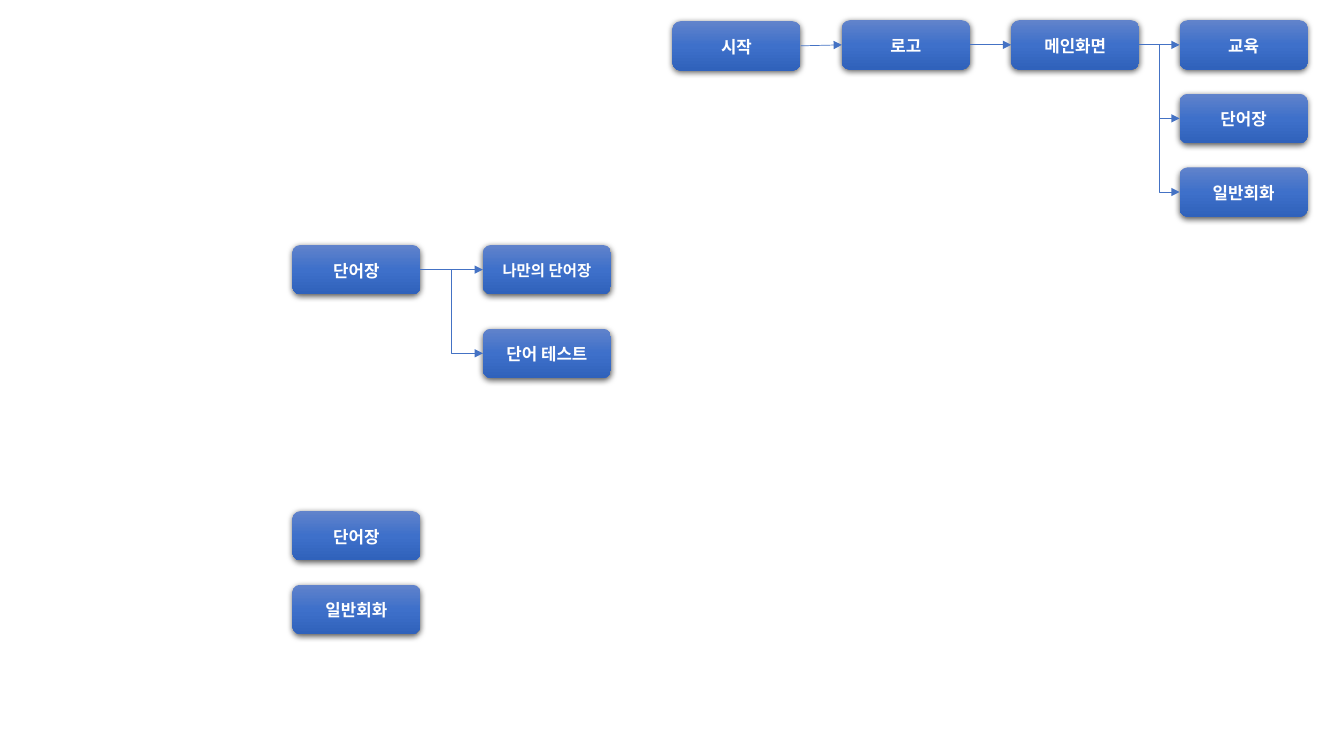
from copy import deepcopy

from lxml.etree import SubElement
from pptx import Presentation
from pptx.dml.color import RGBColor
from pptx.enum.shapes import MSO_CONNECTOR, MSO_SHAPE
from pptx.enum.text import MSO_ANCHOR, PP_ALIGN
from pptx.oxml.ns import qn
from pptx.util import Inches, Pt


def rgb(color):
    return RGBColor.from_string(color)


class FlowChart:
    FONT = "Noto Sans CJK KR"
    TEXT = "FFFFFF"
    LINE = "4472C4"
    SHADOW = "000000"
    GRADIENT = ((0, "6183CB"), (0.5, "3E70CA"), (1, "3062BB"))
    WIDTH, HEIGHT = 1.27, 0.49
    RIGHT, LEFT = 3, 1

    def __init__(self, slide):
        self.slide = slide

    def box(self, label, left, top, size=12):
        node = self.slide.shapes.add_shape(
            MSO_SHAPE.ROUNDED_RECTANGLE,
            Inches(left), Inches(top), Inches(self.WIDTH), Inches(self.HEIGHT))
        node.line.fill.background()
        self.shade(node)
        self.drop_shadow(node)
        self.caption(node.text_frame, label, size)
        return node

    def shade(self, node):
        node.fill.gradient()
        node.fill.gradient_angle = 270
        stop_list = node._element.spPr.find(qn("a:gradFill")).find(qn("a:gsLst"))
        stop_list.append(deepcopy(stop_list[0]))
        for stop, (position, color) in zip(node.fill.gradient_stops, self.GRADIENT):
            stop.position = position
            stop.color.rgb = rgb(color)

    def drop_shadow(self, node):
        node.shadow.inherit = False
        effects = node._element.spPr.find(qn("a:effectLst"))
        shadow = SubElement(effects, qn("a:outerShdw"), blurRad=str(Pt(4.5)),
                            dist=str(Pt(1.5)), dir="5400000", algn="ctr",
                            rotWithShape="0")
        shade = SubElement(shadow, qn("a:srgbClr"), val=str(rgb(self.SHADOW)))
        SubElement(shade, qn("a:alpha"), val="63000")

    def caption(self, frame, label, size):
        frame.word_wrap = True
        frame.vertical_anchor = MSO_ANCHOR.MIDDLE
        paragraph = frame.paragraphs[0]
        paragraph.text = label
        paragraph.alignment = PP_ALIGN.CENTER
        paragraph.line_spacing = 1.07
        paragraph.space_after = Pt(8)
        font = paragraph.font
        font.size = Pt(size)
        font.bold = True
        font.color.rgb = rgb(self.TEXT)
        font.name = self.FONT
        defaults = paragraph._p.pPr.find(qn("a:defRPr"))
        SubElement(defaults, qn("a:ea"), typeface=self.FONT)

    def arrow(self, source, target, kind=MSO_CONNECTOR.STRAIGHT):
        link = self.slide.shapes.add_connector(kind, 0, 0, 0, 0)
        link.begin_connect(source, self.RIGHT)
        link.end_connect(target, self.LEFT)
        link.line.color.rgb = rgb(self.LINE)
        link.line.width = Pt(0.5)
        properties = link._element.spPr
        SubElement(properties.find(qn("a:ln")), qn("a:tailEnd"), type="triangle")
        SubElement(properties, qn("a:effectLst"))

    def branch(self, source, targets):
        self.arrow(source, targets[0])
        for target in targets[1:]:
            self.arrow(source, target, MSO_CONNECTOR.ELBOW)


def main():
    presentation = Presentation()
    presentation.slide_width = Inches(13.33)
    presentation.slide_height = Inches(7.5)
    chart = FlowChart(presentation.slides.add_slide(presentation.slide_layouts[6]))

    row_step = 0.73
    start = chart.box("시작", 6.67, 0.21)
    logo = chart.box("로고", 8.35, 0.2)
    main_screen = chart.box("메인화면", 10.03, 0.2)
    menu = [chart.box(label, 11.7, 0.2 + row * row_step)
            for row, label in enumerate(("교육", "단어장", "일반회화"))]
    chart.arrow(start, logo)
    chart.arrow(logo, main_screen)
    chart.branch(main_screen, menu)

    vocabulary = chart.box("단어장", 2.9, 2.43)
    for row, label in enumerate(("단어장", "일반회화")):
        chart.box(label, 2.9, 5.07 + row * row_step)
    my_words = chart.box("나만의 단어장", 4.79, 2.43, size=11)
    word_test = chart.box("단어 테스트", 4.79, 3.26)
    chart.branch(vocabulary, [my_words, word_test])

    presentation.save("out.pptx")


if __name__ == "__main__":
    main()
